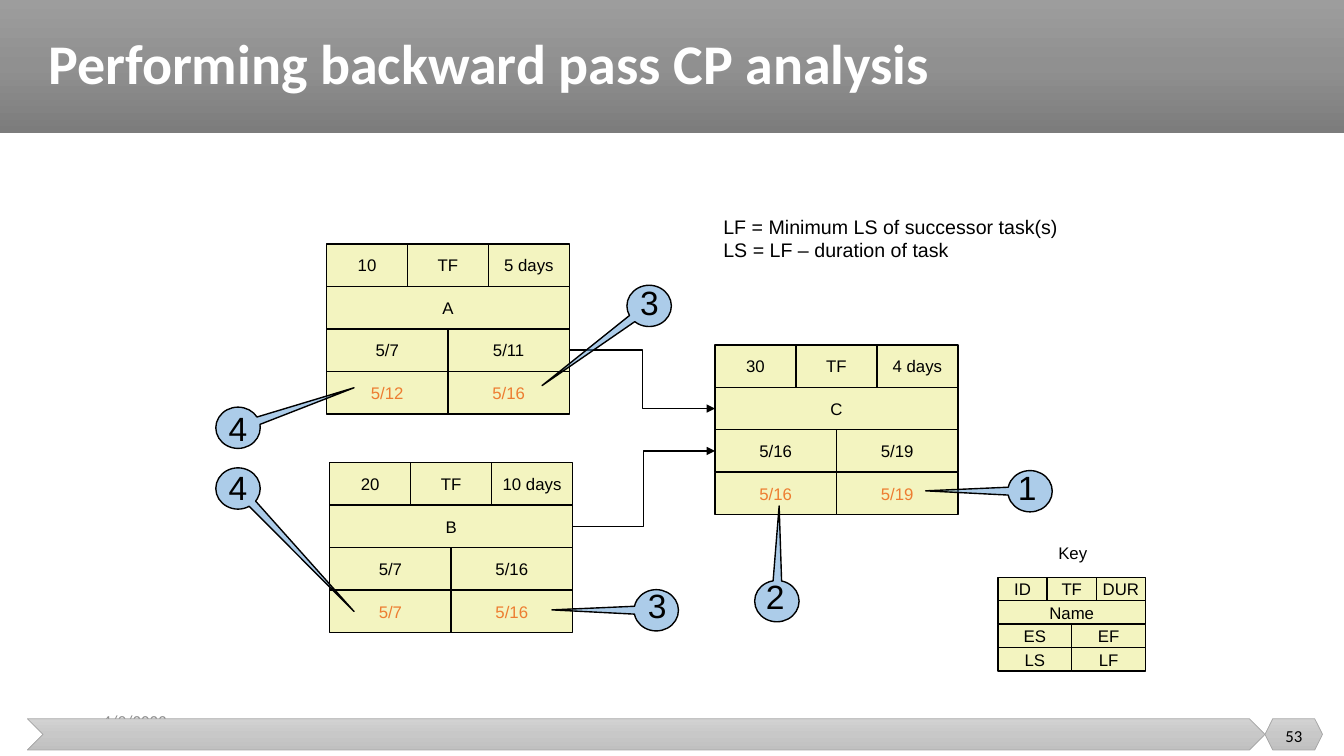
from dataclasses import dataclass

from lxml import etree
from pptx import Presentation
from pptx.dml.color import RGBColor
from pptx.enum.shapes import MSO_CONNECTOR, MSO_SHAPE
from pptx.enum.text import MSO_ANCHOR, PP_ALIGN
from pptx.oxml.ns import qn
from pptx.util import Cm, Pt

RECT = MSO_SHAPE.RECTANGLE
ARROW = MSO_SHAPE.CHEVRON
HEX = MSO_SHAPE.HEXAGON
BUBBLE = MSO_SHAPE.OVAL_CALLOUT
ELBOW = MSO_CONNECTOR.ELBOW
MIDDLE = MSO_ANCHOR.MIDDLE
TOP = MSO_ANCHOR.TOP
LEFT = PP_ALIGN.LEFT
CENTER = PP_ALIGN.CENTER


@dataclass(frozen=True)
class Theme:
    ink: str = "000000"
    white: str = "FFFFFF"
    gray: str = "8C8C8C"
    edge: str = "A5A5A5"
    late: str = "ED7D31"
    cell: str = "F3F4C0"
    bubble: str = "5B9BD5"
    header: tuple = ("9D9D9D", "909090", "7C7C7C")
    footer: tuple = ("D2D2D2", "C8C8C8", "C0C0C0")
    body: str = "Arial"
    head: str = "Calibri"
    small: int = 12
    note: int = 14
    mark: int = 24
    title: int = 40


class Deck:
    def __init__(self, theme, slide):
        self.theme = theme
        self.slide = slide

    def adjust(self, item, values):
        for name, value in values.items():
            setattr(item, name, value)

    def fill_text(self, shape, text, size, color=None, face=None, bold=False,
                  align=LEFT, anchor=TOP, wrap=False, space=None):
        frame = shape.text_frame
        self.adjust(frame, {"word_wrap": wrap, "vertical_anchor": anchor})
        for index, line in enumerate(text.split("\n")):
            para = frame.add_paragraph() if index else frame.paragraphs[0]
            run = para.add_run()
            run.text = line
            self.adjust(para, {"alignment": align, "line_spacing": space})
            self.adjust(run.font, {"size": Pt(size), "bold": bold,
                                   "name": face or self.theme.body})
            run.font.color.rgb = RGBColor.from_string(color or self.theme.ink)

    def label(self, box, text, size, **style):
        shape = self.slide.shapes.add_textbox(*map(Cm, box))
        self.fill_text(shape, text, size, **style)

    def outline(self, shape, color, width):
        shape.line.color.rgb = RGBColor.from_string(color)
        shape.line.width = Pt(width)

    def shape(self, kind, box, fill, edge=None, width=1):
        shape = self.slide.shapes.add_shape(kind, *map(Cm, box))
        shape.shadow.inherit = False
        if isinstance(fill, tuple):
            self.shade(shape, fill)
        else:
            shape.fill.solid()
            shape.fill.fore_color.rgb = RGBColor.from_string(fill)
        if edge:
            self.outline(shape, edge, width)
        else:
            shape.line.fill.background()
        return shape

    def shade(self, shape, colors):
        shape.fill.gradient()
        shape.fill.gradient_angle = 270
        stops = shape.element.spPr.find(".//" + qn("a:gsLst"))
        for stop in list(stops):
            stops.remove(stop)
        for index, color in enumerate(colors):
            stop = etree.SubElement(stops, qn("a:gs"), pos=str(index * 50000))
            etree.SubElement(stop, qn("a:srgbClr"), val=color)

    def node(self, box, rows, late):
        left, top, width, height = box
        for index, row in enumerate(rows):
            step = width / len(row)
            color = late if index == len(rows) - 1 else self.theme.ink
            for col, text in enumerate(row):
                place = (left + col * step, top + index * height, step, height)
                cell = self.shape(RECT, place, self.theme.cell, self.theme.ink)
                self.fill_text(cell, text, self.theme.small, color=color,
                               align=CENTER, anchor=MIDDLE)

    def link(self, start, row, end, target):
        x, y, width, height = start
        line = self.slide.shapes.add_connector(
            ELBOW, Cm(x + width), Cm(y + (row + 0.5) * height),
            Cm(end[0]), Cm(end[1] + (target + 0.5) * end[3]))
        self.outline(line, self.theme.ink, 1)
        props = line.element.spPr
        etree.SubElement(props.find(qn("a:ln")), qn("a:tailEnd"), type="triangle")
        etree.SubElement(props, qn("a:effectLst"))

    def callout(self, text, spot, tip, shift):
        bubble = self.shape(BUBBLE, (*spot, 1.12, 1.04), self.theme.bubble,
                            self.theme.ink)
        for index, value in enumerate(tip):
            bubble.adjustments[index] = value
        color = bubble.element.spPr.find(qn("a:solidFill"))[0]
        etree.SubElement(color, qn("a:alpha"), val="50000")
        place = (spot[0] + shift[0], spot[1] + shift[1], 0.99, 1.28)
        self.label(place, text, self.theme.mark)


def main():
    theme = Theme()
    show = Presentation()
    show.slide_width, show.slide_height = Cm(33.87), Cm(19.05)
    deck = Deck(theme, show.slides.add_slide(show.slide_layouts[6]))

    deck.shape(RECT, (0, 0, 33.87, 3.35), theme.header)
    deck.label((2.34, 17.65, 7.62, 1.02), "4/9/2023", theme.small,
               color=theme.gray, face=theme.head, anchor=MIDDLE, wrap=True)
    deck.shape(ARROW, (0.69, 18.11, 31.19, 0.79), theme.footer, theme.edge, 0.5)
    deck.shape(HEX, (31.88, 18.11, 1.45, 0.79), theme.footer, theme.edge, 0.5)
    deck.label((0.97, 0, 32.36, 3.35), "Performing backward pass CP analysis",
               theme.title, color=theme.white, face=theme.head, bold=True,
               anchor=MIDDLE, wrap=True, space=0.9)

    key = (25.15, 14.55, 3.72, 0.59)
    deck.node(key, [("ID", "TF", "DUR"), ("Name",), ("ES", "EF"), ("LS", "LF")],
              theme.ink)
    task_a = (8.23, 6.15, 6.12, 1.07)
    task_b = (8.31, 11.66, 6.12, 1.07)
    task_c = (18.02, 8.69, 6.12, 1.07)
    tasks = [
        (task_a, "10", "5 days", "A", ("5/7", "5/11"), ("5/12", "5/16")),
        (task_b, "20", "10 days", "B", ("5/7", "5/16"), ("5/7", "5/16")),
        (task_c, "30", "4 days", "C", ("5/16", "5/19"), ("5/16", "5/19")),
    ]
    for box, code, days, name, early, late in tasks:
        deck.node(box, [(code, "TF", days), (name,), early, late], theme.late)
    deck.link(task_a, 2, task_c, 1)
    deck.link(task_b, 1, task_c, 2)

    deck.label((17.98, 5.28, 9.45, 1.45),
               "LF = Minimum LS of successor task(s)\nLS = LF – duration of task",
               theme.note, wrap=True)
    deck.label((26.42, 13.56, 1.24, 0.76), "Key", theme.small)

    callouts = [
        ("1", (25.4, 11.86), (-2.35, -0.01), (0, -0.23)),
        ("3", (15.8, 7.19), (-2.41, 1.93), (0.08, -0.2)),
        ("3", (15.98, 14.86), (-2.35, -0.01), (0.1, -0.25)),
        ("2", (19.02, 14.63), (0.05, -2.31), (0.03, -0.23)),
        ("4", (5.44, 10.26), (2.61, -0.97), (0.07, -0.1)),
        ("4", (5.44, 11.79), (2.61, 2.98), (0.07, -0.16)),
    ]
    for callout in callouts:
        deck.callout(*callout)
    deck.label((31.88, 18.03, 1.45, 1.02), "53", theme.small, face=theme.head,
               align=CENTER, anchor=MIDDLE, wrap=True)
    show.save("out.pptx")


if __name__ == "__main__":
    main()
